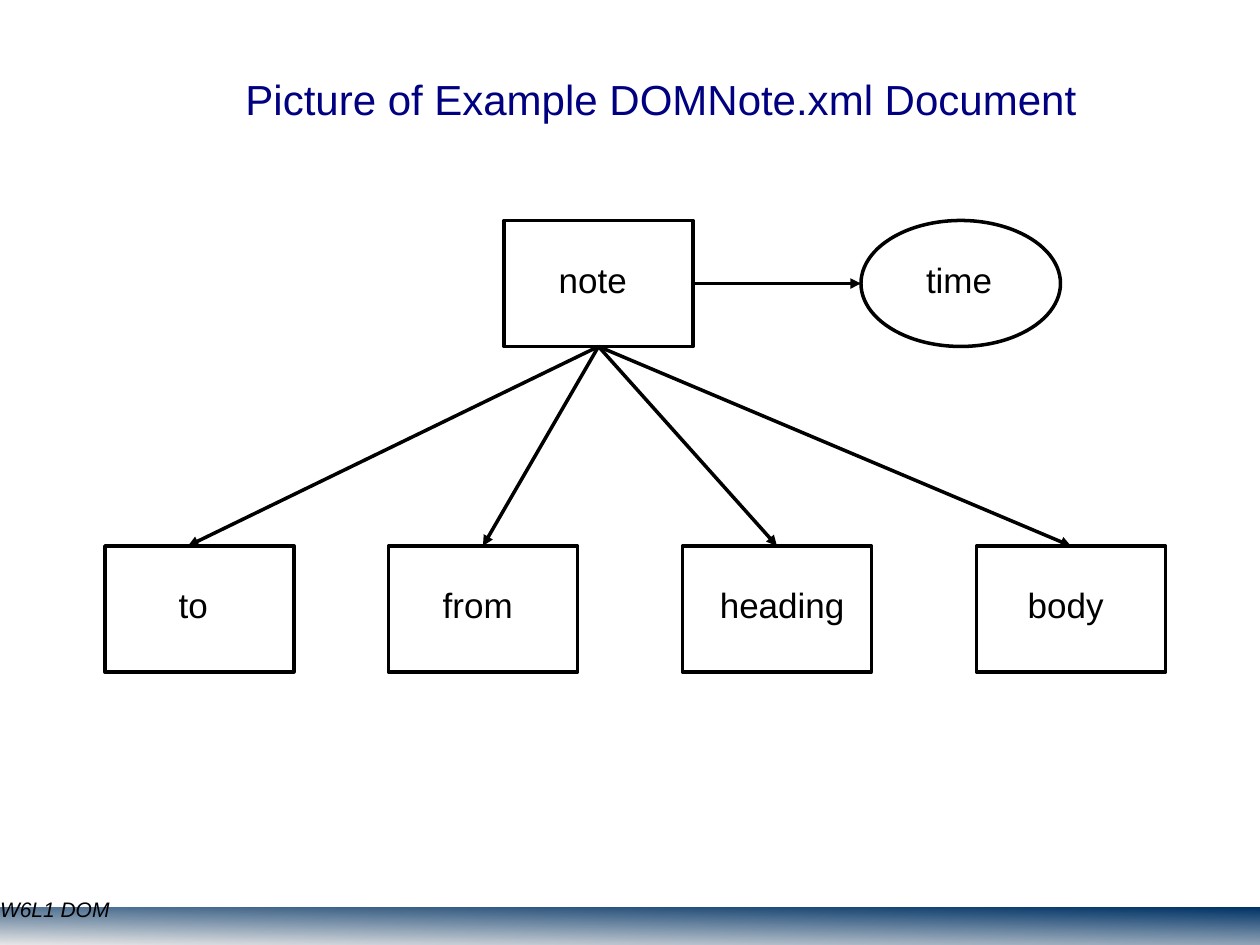
from lxml import etree
from pptx import Presentation
from pptx.dml.color import RGBColor
from pptx.enum.shapes import MSO_CONNECTOR, MSO_SHAPE
from pptx.enum.text import MSO_ANCHOR, PP_ALIGN
from pptx.oxml.ns import qn
from pptx.util import Inches, Pt

UNIT = Inches(10) / 120  # the slide is a grid of 120 columns by 90 rows
BLACK, WHITE, NAVY = "000000", "FFFFFF", "000080"

# name: (column, row, width, height), shift of the label's centre
NOTE = ("note", (48, 21, 18, 12), -0.54)
TIME = ("time", (82, 21, 19, 12), -0.15)
CHILDREN = [
    ("to", (10, 52, 18, 12), -0.58),
    ("from", (37, 52, 18, 12), -0.5),
    ("heading", (65, 52, 18, 12), 0.5),
    ("body", (93, 52, 18, 12), -0.5),
]
TIP_SHIFT = {"to": -1.1}  # arrows that land beside the middle of the box


def grid(*cells):
    return [round(c * UNIT) for c in cells]


def color(hex_text):
    return RGBColor.from_string(hex_text)


def write(tf, text, size, hex_text, align=PP_ALIGN.CENTER, spacing=None, italic=None):
    p = tf.paragraphs[0]
    p.alignment = align
    p.line_spacing = spacing
    r = p.add_run()
    r.text = text
    r.font.name = "Arial"
    r.font.size = Pt(size)
    r.font.italic = italic
    r.font.color.rgb = color(hex_text)


def add_title(slide, box, text):
    sp = slide.shapes.title
    sp.left, sp.top, sp.width, sp.height = grid(*box)
    tf = sp.text_frame
    tf.word_wrap = True
    tf.vertical_anchor = MSO_ANCHOR.TOP
    write(tf, text, 24, NAVY, spacing=0.82)


def add_node(slide, preset, name, box, shift):
    sp = slide.shapes.add_shape(preset, *grid(*box))
    sp.shadow.inherit = False
    sp.fill.solid()
    sp.fill.fore_color.rgb = color(WHITE)
    sp.line.color.rgb = color(BLACK)
    sp.line.width = Pt(2)

    # Label inside the node
    x, y, w, h = box
    label = slide.shapes.add_textbox(*grid(x + shift, y + h / 4, w, 5.3))
    label.text_frame.word_wrap = True
    write(label.text_frame, name, 20, BLACK)
    return sp


def add_arrow(slide, start, end):
    line = slide.shapes.add_connector(MSO_CONNECTOR.STRAIGHT, *grid(*start, *end))
    line.line.color.rgb = color(BLACK)
    line.line.width = Pt(2)
    ln = line._element.spPr.find(qn("a:ln"))
    etree.SubElement(ln, qn("a:tailEnd"), type="triangle")
    etree.SubElement(line._element.spPr, qn("a:effectLst"))
    return line


def add_tree(slide):
    # Root and its attribute
    root = add_node(slide, MSO_SHAPE.RECTANGLE, *NOTE)
    add_node(slide, MSO_SHAPE.OVAL, *TIME)
    x, y, w, h = NOTE[1]
    line = add_arrow(slide, (x + w, y + h / 2), (TIME[1][0], y + h / 2))
    line.begin_connect(root, 3)

    # Child elements
    for name, box, shift in CHILDREN:
        child = add_node(slide, MSO_SHAPE.RECTANGLE, name, box, shift)
        tip = box[0] + box[2] / 2 + TIP_SHIFT.get(name, 0)
        line = add_arrow(slide, (x + w / 2, y + h), (tip, box[1]))
        line.begin_connect(root, 2)
        if name not in TIP_SHIFT:
            line.end_connect(child, 0)


def add_footer(slide, box, text):
    # Gradient band
    band = slide.shapes.add_shape(MSO_SHAPE.ROUNDED_RECTANGLE, *grid(*box))
    band.adjustments[0] = 0.006
    band.shadow.inherit = False
    band.line.fill.background()
    band.fill.gradient()
    band.fill.gradient_angle = 269
    for stop, (position, shade) in zip(band.fill.gradient_stops,
                                       [(0, "003366"), (1, "E6E6E6")]):
        stop.position = position
        stop.color.rgb = color(shade)

    # Lecture code
    x, y, w, h = box
    tf = slide.shapes.add_textbox(*grid(x, y - 0.85, 51, 5.9)).text_frame
    tf.word_wrap = True
    tf.margin_left = tf.margin_top = tf.margin_right = tf.margin_bottom = 0
    write(tf, text, 12, BLACK, PP_ALIGN.LEFT, 0.93, True)


def main():
    prs = Presentation()
    prs.slide_width, prs.slide_height = grid(120, 90)
    slide = prs.slides.add_slide(prs.slide_layouts[5])
    add_footer(slide, (0, 86.4, 120, 3.6), "W6L1 DOM")
    add_tree(slide)
    add_title(slide, (20.95, 7.25, 84, 5.2), "Picture of Example DOMNote.xml Document")
    prs.save("out.pptx")


if __name__ == "__main__":
    main()
